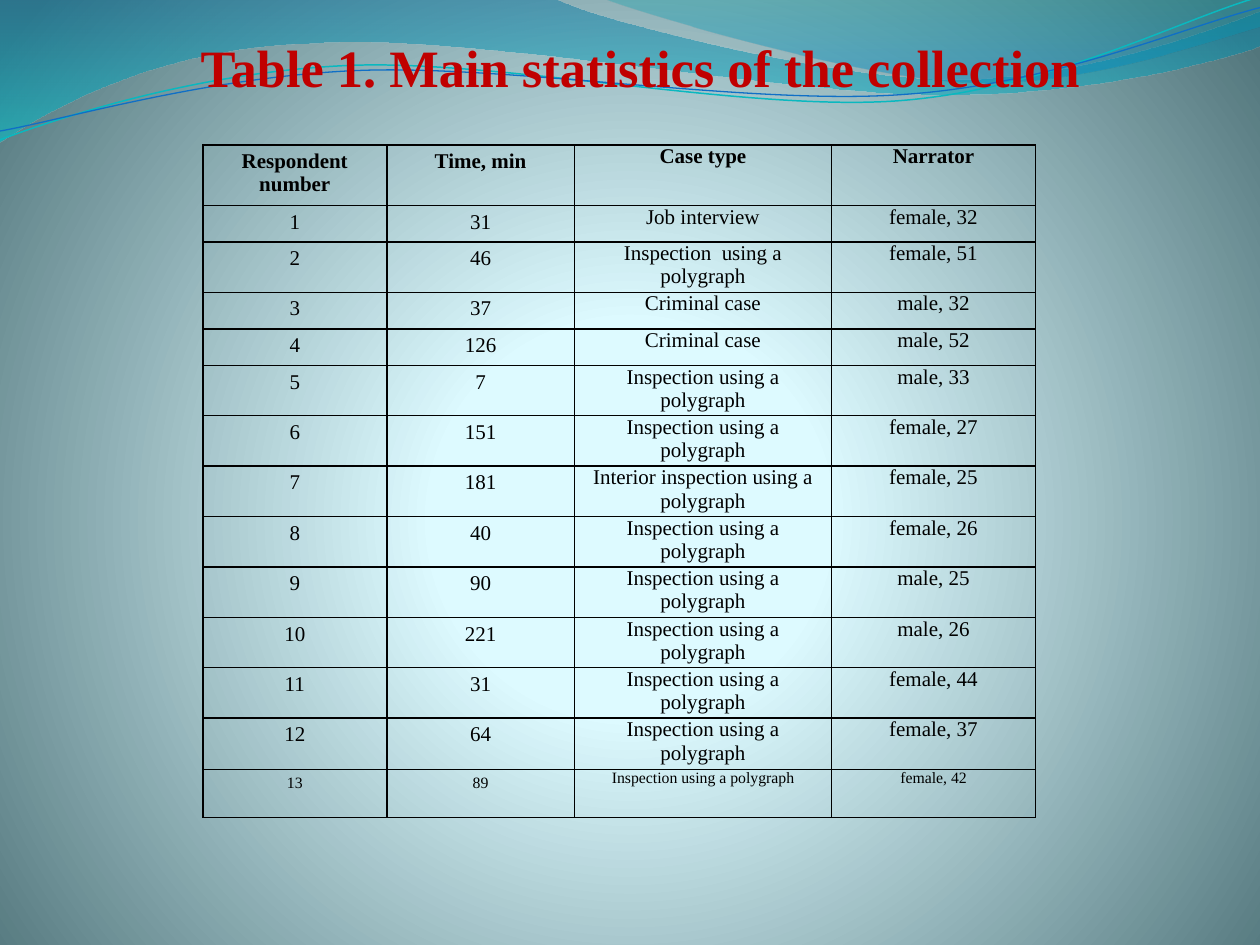
from dataclasses import dataclass
from math import cos, radians, sin
from typing import NamedTuple, Optional

from pptx import Presentation
from pptx.dml.color import RGBColor
from pptx.enum.text import MSO_ANCHOR, PP_ALIGN
from pptx.oxml import parse_xml
from pptx.oxml.ns import nsdecls, qn
from pptx.util import Inches, Pt

FONT = "Times New Roman"
BLACK = RGBColor(0x00, 0x00, 0x00)
TITLE_RED = RGBColor(0xC0, 0x00, 0x00)
PALE_AQUA = RGBColor(0xDE, 0xFB, 0xFF)
LIGHT_AQUA = RGBColor(0xDD, 0xFA, 0xFF)
SLATE = RGBColor(0x52, 0x76, 0x7C)
DEEP_BLUE = RGBColor(0x00, 0x74, 0xA1)
CYAN = RGBColor(0x00, 0xC6, 0xCF)
TEAL = RGBColor(0x00, 0xA1, 0xA9)
AZURE = RGBColor(0x00, 0x8B, 0xBF)
LINE_TEAL = RGBColor(0x0A, 0xB8, 0xBF)
LINE_BLUE = RGBColor(0x0F, 0x6F, 0xC6)


class Stop(NamedTuple):
    position: int
    color: RGBColor
    opacity: int = 100


@dataclass
class Wave:
    """Steps in slide inches: a start, then straight (2) or cubic (6 numbers)."""
    box: tuple
    start: tuple
    steps: list
    stops: tuple = ()
    line_color: Optional[RGBColor] = None
    line_width: float = 0
    rotation: float = 0


class Respondent(NamedTuple):
    number: str
    minutes: str
    case_type: str
    narrator: str


WAVES = [
    Wave((-0.01, -0.01, 10.02, 1.14), (0, 0),
         [(4.4, -0.01), (4.76, 0.17, 6.64, 0.63, 7.58, 0.63),
          (8.53, 0.63, 9.58, 0.26, 10, 0.09), (10.01, 0.36),
          (9.83, 0.44, 8.7, 0.76, 7.46, 0.75),
          (6.22, 0.75, 3.82, 0.28, 2.57, 0.34),
          (1.29, 0.36, 0.46, 0.83, -0.01, 1.13), (0, 0)],
         stops=(Stop(0, DEEP_BLUE, 45), Stop(100, CYAN, 55))),
    Wave((4.79, -0.01, 5.21, 0.7), (4.79, -0.01),
         [(5.09, 0.11, 6.82, 0.62, 7.69, 0.65),
          (8.56, 0.69, 9.61, 0.32, 10, 0.21), (10, 0), (4.79, -0.01)],
         stops=(Stop(0, TEAL, 30), Stop(80, AZURE, 45))),
    Wave((-0.02, 0.22, 10.02, 0.71), (0, 1.11),
         [(0.48, 0.93, 1.58, 0.57, 2.77, 0.52),
          (3.95, 0.47, 5.93, 0.89, 7.13, 0.8),
          (8.33, 0.71, 9.38, 0.15, 9.98, -0.02)],
         line_color=LINE_TEAL, line_width=0.85, rotation=357.3),
    Wave((-0.02, 0.3, 10.03, 0.58), (0, 1.04),
         [(0.47, 0.96, 1.64, 0.61, 2.83, 0.56),
          (4.03, 0.51, 5.97, 0.84, 7.17, 0.75),
          (8.36, 0.67, 9.41, 0.21, 10, 0.06)],
         line_color=LINE_BLUE, line_width=0.75, rotation=357.3),
]

POLYGRAPH = "Inspection using a polygraph"
ROWS = [
    Respondent("Respondent number", "Time, min", "Case type", "Narrator"),
    Respondent("1", "31", "Job interview", "female, 32"),
    Respondent("2", "46", "Inspection  using a polygraph", "female, 51"),
    Respondent("3", "37", "Criminal case", "male, 32"),
    Respondent("4", "126", "Criminal case", "male, 52"),
    Respondent("5", "7", POLYGRAPH, "male, 33"),
    Respondent("6", "151", POLYGRAPH, "female, 27"),
    Respondent("7", "181", "Interior inspection using a polygraph", "female, 25"),
    Respondent("8", "40", POLYGRAPH, "female, 26"),
    Respondent("9", "90", POLYGRAPH, "male, 25"),
    Respondent("10", "221", POLYGRAPH, "male, 26"),
    Respondent("11", "31", POLYGRAPH, "female, 44"),
    Respondent("12", "64", POLYGRAPH, "female, 37"),
    Respondent("13", "89", POLYGRAPH, "female, 42"),
]
COLUMN_WIDTHS = [1.46, 1.49, 2.04, 1.62]
ROW_HEIGHTS = [0.48, 0.29, 0.4, 0.29, 0.29] + [0.4] * 7 + [0.41, 0.38]


def set_attributes(target, values: dict) -> None:
    for name, value in values.items():
        setattr(target, name, value)


def set_margins(frame, side: float, top: float, bottom: float) -> None:
    set_attributes(frame, {
        "margin_left": Inches(side), "margin_right": Inches(side),
        "margin_top": Inches(top), "margin_bottom": Inches(bottom)})


def write_text(paragraph, text: str, size: float, color: RGBColor, bold: bool) -> None:
    paragraph.alignment = PP_ALIGN.CENTER
    run = paragraph.add_run()
    run.text = text
    set_attributes(run.font, {"name": FONT, "size": Pt(size), "bold": bold})
    run.font.color.rgb = color


def apply_gradient(fill, owner, stops: tuple, direction: str) -> None:
    """Swap the owner's solid fill for a gradient with opacity per stop."""
    fill.solid()
    solid = owner.find(".//" + qn("a:solidFill"))
    stop_xml = "".join(
        f'<a:gs pos="{stop.position * 1000}"><a:srgbClr val="{stop.color}">'
        f'<a:alpha val="{stop.opacity * 1000}"/></a:srgbClr></a:gs>'
        for stop in stops)
    solid.getparent().replace(solid, parse_xml(
        f'<a:gradFill {nsdecls("a")} rotWithShape="1">'
        f'<a:gsLst>{stop_xml}</a:gsLst>{direction}</a:gradFill>'))


def point_xml(wave: Wave, x: float, y: float) -> str:
    """Place a slide point inside the wave's box, undoing the box's rotation."""
    left, top, width, height = wave.box
    dx, dy = x - left - width / 2, y - top - height / 2
    angle = radians(-wave.rotation)
    local_x = dx * cos(angle) - dy * sin(angle) + width / 2
    local_y = dx * sin(angle) + dy * cos(angle) + height / 2
    return f'<a:pt x="{Inches(local_x)}" y="{Inches(local_y)}"/>'


def curve_outline(shape, wave: Wave) -> None:
    """Give the freeform true cubic curves."""
    outline = shape.element.find(".//" + qn("a:path"))
    for child in list(outline):
        outline.remove(child)
    moves = [("moveTo", wave.start)]
    moves += [("lnTo" if len(step) == 2 else "cubicBezTo", step) for step in wave.steps]
    for tag, numbers in moves:
        points = "".join(point_xml(wave, *pair) for pair in zip(numbers[::2], numbers[1::2]))
        outline.append(parse_xml(f'<a:{tag} {nsdecls("a")}>{points}</a:{tag}>'))
    if wave.stops:
        outline.append(parse_xml(f'<a:close {nsdecls("a")}/>'))


def draw_wave(slide, wave: Wave) -> None:
    left, top, width, height = (Inches(length) for length in wave.box)
    builder = slide.shapes.build_freeform(left, top)
    builder.add_line_segments([(left + width, top + height)], close=False)
    shape = builder.convert_to_shape()
    curve_outline(shape, wave)
    shape.rotation = wave.rotation
    shape.shadow.inherit = False
    if wave.stops:
        shape.line.fill.background()
        apply_gradient(shape.fill, shape.element, wave.stops, '<a:lin ang="5400000" scaled="1"/>')
    else:
        shape.fill.background()
        shape.line.color.rgb = wave.line_color
        shape.line.width = Pt(wave.line_width)


def add_borders(cell) -> None:
    properties = cell._tc.get_or_add_tcPr()
    for index, side in enumerate(("lnL", "lnR", "lnT", "lnB")):
        properties.insert(index, parse_xml(
            f'<a:{side} {nsdecls("a")} w="{Pt(1)}"><a:solidFill>'
            f'<a:srgbClr val="{BLACK}"/></a:solidFill></a:{side}>'))


def draw_statistics(slide) -> None:
    table = slide.shapes.add_table(
        len(ROWS), len(COLUMN_WIDTHS), Inches(1.61), Inches(1.15),
        Inches(sum(COLUMN_WIDTHS)), Inches(sum(ROW_HEIGHTS))).table
    set_attributes(table, {"first_row": False, "horz_banding": False})
    for column, width in zip(table.columns, COLUMN_WIDTHS):
        column.width = Inches(width)
    for row_index, respondent in enumerate(ROWS):
        table.rows[row_index].height = Inches(ROW_HEIGHTS[row_index])
        size = 9 if respondent is ROWS[-1] else 12
        for column_index, text in enumerate(respondent):
            cell = table.cell(row_index, column_index)
            side, edge = (0.04, 0.04) if column_index < 2 else (0.07, 0)
            set_margins(cell, side, edge, edge)
            cell.fill.background()
            add_borders(cell)
            write_text(cell.text_frame.paragraphs[0], text, size, BLACK, row_index == 0)


def place_title(slide) -> None:
    title = slide.shapes.title
    set_attributes(title, {"left": Inches(1.22), "top": Inches(0.21),
                           "width": Inches(7.73), "height": Inches(0.94)})
    frame = title.text_frame
    set_attributes(frame, {"word_wrap": False, "vertical_anchor": MSO_ANCHOR.TOP})
    set_margins(frame, 0.1, 0.07, 0.05)
    write_text(frame.paragraphs[0], "Table 1. Main statistics of the collection",
               30, TITLE_RED, True)
    # Bring the title in front of the waves
    title.element.getparent().append(title.element)


def main() -> None:
    presentation = Presentation()
    set_attributes(presentation, {"slide_width": Inches(10), "slide_height": Inches(7.5)})
    slide = presentation.slides.add_slide(presentation.slide_layouts[5])

    # Background glow
    apply_gradient(
        slide.background.fill, slide.element,
        (Stop(0, PALE_AQUA), Stop(25, LIGHT_AQUA), Stop(100, SLATE)),
        '<a:path path="circle">'
        '<a:fillToRect l="10000" t="110000" r="10000" b="100000"/></a:path>')

    # Waves along the top
    for wave in WAVES:
        draw_wave(slide, wave)

    # Table and title
    draw_statistics(slide)
    place_title(slide)
    presentation.save("out.pptx")


if __name__ == "__main__":
    main()
